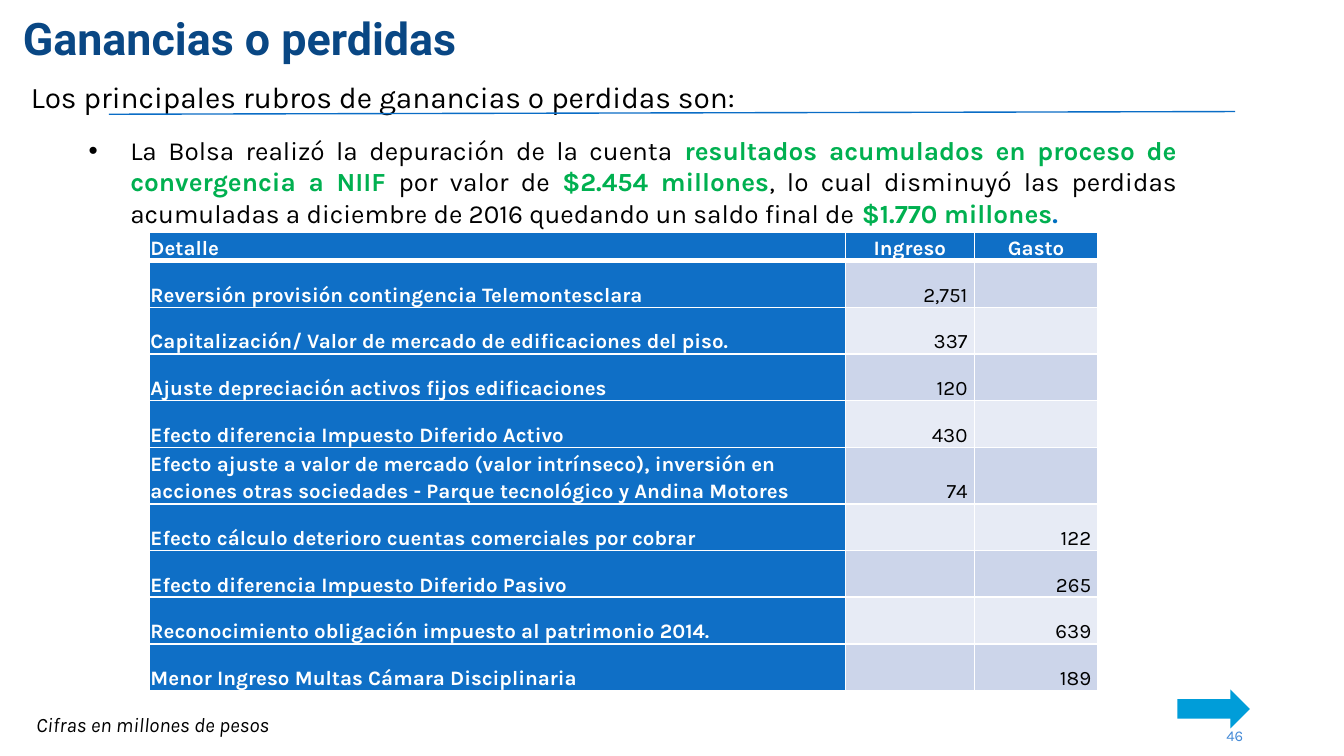
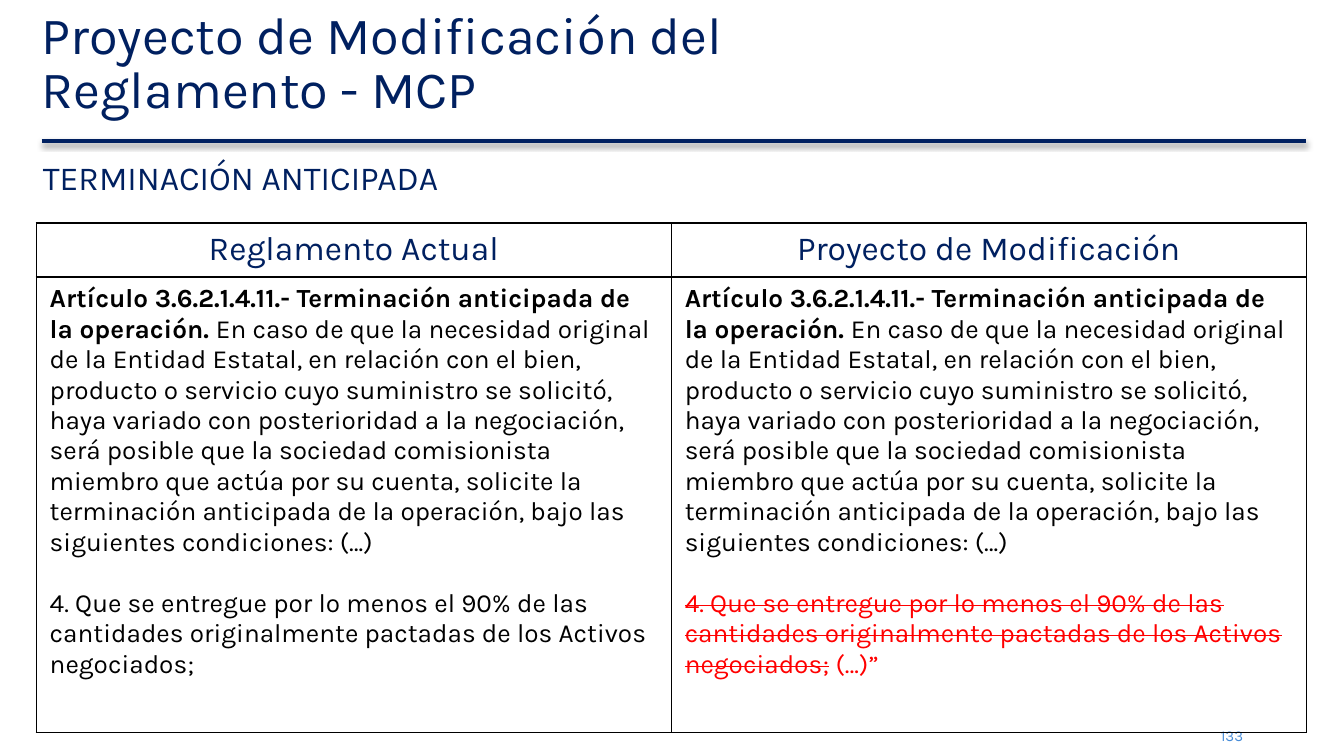
import dataclasses

import lxml.etree
import pptx
import pptx.dml.color
import pptx.enum.shapes
import pptx.enum.text
import pptx.oxml.ns
import pptx.util

Inches = pptx.util.Inches
Pt = pptx.util.Pt
Align = pptx.enum.text.PP_ALIGN
Anchor = pptx.enum.text.MSO_ANCHOR
qn = pptx.oxml.ns.qn


@dataclasses.dataclass(frozen=True)
class Theme:
    body: str = "Karla"
    head: str = "Roboto"
    black: str = "000000"
    white: str = "FFFFFF"
    title: str = "094784"
    navy: str = "002060"
    blue: str = "0F6FC6"
    rule: str = "0A6DC6"
    stop: str = "0070C0"
    green: str = "00B050"
    red: str = "FF0000"
    arrow: str = "009DD9"
    number: str = "448AD7"
    bands: tuple = ("CCD5EA", "E7EBF5")
    tiny: int = 8
    small: int = 11
    text: int = 14
    lead: int = 16
    label: int = 18
    large: int = 24
    huge: int = 28


T = Theme()


def rgb(color):
    return pptx.dml.color.RGBColor.from_string(color)


def bullet(par, indent):
    props = par._p.get_or_add_pPr()
    props.set("marL", str(Inches(indent)))
    props.set("indent", str(-Inches(indent)))
    lxml.etree.SubElement(props, qn("a:buFont"), typeface="Arial")
    lxml.etree.SubElement(props, qn("a:buChar"), char="•")


def write(par, parts, size, color=T.black, bold=False, italic=False,
          face=T.body, align=Align.LEFT, lines=None, indent=None):
    """Fill a paragraph with a string or with (text, changes) runs."""
    if indent:
        bullet(par, indent)
    par.alignment = align
    if lines:
        par.line_spacing = lines
    font = par.font
    font.name, font.size = face, Pt(size)
    font.bold, font.italic = bold, italic
    font.color.rgb = rgb(color)
    if isinstance(parts, str):
        par.text = parts
        return
    for text, change in parts:
        run = par.add_run()
        run.text = text
        if "bold" in change:
            run.font.bold = change["bold"]
        if "color" in change:
            run.font.color.rgb = rgb(change["color"])
        if change.get("strike"):
            run._r.get_or_add_rPr().set("strike", "sngStrike")


def inset(frame, across=0, down=0):
    frame.margin_left = frame.margin_right = Inches(across)
    frame.margin_top = frame.margin_bottom = Inches(down)


def label(slide, box, parts, size, pad=(0, 0), wrap=True,
          anchor=Anchor.TOP, **style):
    frame = slide.shapes.add_textbox(*map(Inches, box)).text_frame
    frame.word_wrap = wrap
    frame.vertical_anchor = anchor
    inset(frame, *pad)
    write(frame.paragraphs[0], parts, size, **style)


def page(deck, number, title, box, size, **style):
    """Add a slide with its title and page number."""
    slide = deck.slides.add_slide(deck.slide_layouts[5])
    shape = slide.shapes.title
    shape.left, shape.top, shape.width, shape.height = map(Inches, box)
    frame = shape.text_frame
    frame.word_wrap = True
    frame.auto_size = pptx.enum.text.MSO_AUTO_SIZE.NONE
    frame.vertical_anchor = Anchor.TOP
    inset(frame)
    write(frame.paragraphs[0], title, size, lines=0.85, **style)
    label(slide, (8.93, 5.41, 0.32, 0.13), number, T.tiny, color=T.number,
          align=Align.RIGHT, anchor=Anchor.BOTTOM)
    return slide


def rule(slide, start, end, color, width, shade=False):
    line = slide.shapes.add_connector(
        pptx.enum.shapes.MSO_CONNECTOR.STRAIGHT,
        *map(Inches, start + end))
    line.line.color.rgb = rgb(color)
    line.line.width = Pt(width)
    effects = lxml.etree.SubElement(line._element.spPr, qn("a:effectLst"))
    if shade:
        cast = lxml.etree.SubElement(
            effects, qn("a:outerShdw"), blurRad=str(Pt(3.1)),
            dist=str(Pt(1.6)), dir="5400000", rotWithShape="0")
        tint = lxml.etree.SubElement(cast, qn("a:srgbClr"), val=T.black)
        lxml.etree.SubElement(tint, qn("a:alpha"), val="38000")


def border(cell, color, **widths):
    """Line all four sides; widths names the sides that are not 1 pt."""
    props = cell._tc.get_or_add_tcPr()
    for side in "LRTB":
        line = lxml.etree.SubElement(props, qn("a:ln" + side),
                                     w=str(Pt(widths.get(side, 1))))
        fill = lxml.etree.SubElement(line, qn("a:solidFill"))
        lxml.etree.SubElement(fill, qn("a:srgbClr"), val=color)


def paint(part, color):
    part.fill.solid()
    part.fill.fore_color.rgb = rgb(color)


def grid(slide, left, top, cols, rows):
    table = slide.shapes.add_table(
        len(rows), len(cols), Inches(left), Inches(top),
        Inches(sum(cols)), Inches(sum(rows))).table
    table.first_row = table.horz_banding = False
    for col, width in zip(table.columns, cols):
        col.width = Inches(width)
    for row, height in zip(table.rows, rows):
        row.height = Inches(height)
    return table


HEADS = ("Detalle", "Ingreso", "Gasto")
ITEMS = (
    ("Reversión provisión contingencia Telemontesclara", "2,751", ""),
    ("Capitalización/ Valor de mercado de edificaciones del piso.", "337", ""),
    ("Ajuste depreciación activos fijos edificaciones", "120", ""),
    ("Efecto diferencia Impuesto Diferido Activo", "430", ""),
    ("Efecto ajuste a valor de mercado (valor intrínseco), inversión en "
     "acciones otras sociedades - Parque tecnológico y Andina Motores",
     "74", ""),
    ("Efecto cálculo deterioro cuentas comerciales por cobrar", "", "122"),
    ("Efecto diferencia Impuesto Diferido Pasivo", "", "265"),
    ("Reconocimiento obligación impuesto al patrimonio 2014.", "", "639"),
    ("Menor Ingreso Multas Cámara Disciplinaria", "", "189"),
)


def ledger(slide, left, top):
    """Table of income and expense items."""
    table = grid(slide, left, top, (5.18, 0.96, 0.92),
                 [0.17] + [25 / 72] * len(ITEMS))
    for r, row in enumerate((HEADS,) + ITEMS):
        for c, text in enumerate(row):
            cell = table.cell(r, c)
            inset(cell, 0.01)
            cell.vertical_anchor = Anchor.BOTTOM
            border(cell, T.white, **({"B": 3} if r == 0 else
                                     {"T": 3} if r == 1 else {}))
            strong = r == 0 or c == 0
            paint(cell, T.blue if strong else T.bands[(r - 1) % 2])
            align = Align.LEFT
            if c:
                align = Align.CENTER if r == 0 else Align.RIGHT
            if not strong:
                cell.margin_right = Inches(0.05)
            write(cell.text_frame.paragraphs[0], text, T.small, bold=strong,
                  color=T.white if strong else T.black, align=align,
                  lines=1.15)


def results(deck):
    slide = page(deck, "46", "Ganancias o perdidas", (0.17, 0.14, 6.32, 0.34),
                 T.large, color=T.title, bold=True, face=T.head)
    label(slide, (0.17, 5.25, 2.41, 0.19), "Cifras en millones de pesos",
          T.small, pad=(0.1, 0.05), italic=True)
    key = {"color": T.green, "bold": True}
    label(slide, (0.66, 1, 8.1, 0.94), (
        ("La Bolsa realizó la depuración de la cuenta ", {}),
        ("resultados acumulados en proceso de convergencia a NIIF ", key),
        ("por valor de ", {}),
        ("$2.454 millones", key),
        (", lo cual disminuyó las perdidas acumuladas a diciembre de 2016 "
         "quedando un saldo final de ", {}),
        ("$1.770 millones", key),
        (".", {"color": T.stop, "bold": True}),
    ), T.text, align=Align.JUSTIFY, indent=0.31)
    arrow = slide.shapes.add_shape(
        pptx.enum.shapes.MSO_SHAPE.RIGHT_ARROW,
        *map(Inches, (8.76, 5.13, 0.54, 0.29)))
    arrow.shadow.inherit = False
    paint(arrow, T.arrow)
    arrow.line.fill.background()
    label(slide, (0.23, 0.53, 5.7, 0.29),
          "Los principales rubros de ganancias o perdidas son:", T.lead,
          lines=1.2)
    rule(slide, (0.81, 0.85), (9.19, 0.83), T.rule, 0.75)
    ledger(slide, 1.11, 1.73)


ARTICLE = (
    ("Artículo 3.6.2.1.4.11.- Terminación anticipada de la operación. ",
     {"bold": True}),
    ("En caso de que la necesidad original de la Entidad Estatal, en relación "
     "con el bien, producto o servicio cuyo suministro se solicitó, haya "
     "variado con posterioridad a la negociación, será posible que la "
     "sociedad comisionista miembro que actúa por su cuenta, solicite la "
     "terminación anticipada de la operación, bajo las siguientes "
     "condiciones: (…)", {}),
)
CLAUSE = ("4. Que se entregue por lo menos el 90% de las cantidades "
          "originalmente pactadas de los Activos negociados;")
SIDES = (
    ("Reglamento Actual", ((CLAUSE, {}),), T.black),
    ("Proyecto de Modificación",
     ((CLAUSE, {"strike": True}), (" (…)”", {})), T.red),
)


def compare(slide, left, top):
    """Table of the current rule beside the proposed one."""
    table = grid(slide, left, top, [9.45 / 2] * 2, (0.4, 3.39))
    for c, (head, clause, color) in enumerate(SIDES):
        for r in range(2):
            border(table.cell(r, c), T.black)
            table.cell(r, c).fill.background()
        write(table.cell(0, c).text_frame.paragraphs[0], head, T.label,
              color=T.navy, align=Align.CENTER)
        frame = table.cell(1, c).text_frame
        write(frame.paragraphs[0], ARTICLE, T.text)
        par = frame.add_paragraph()
        par.space_before = Pt(16.4)
        write(par, clause, T.text, color=color)


def reform(deck):
    slide = page(deck, "133", "Proyecto de Modificación del\vReglamento - MCP",
                 (0.31, 0.09, 9.24, 1.27), T.huge, color=T.navy)
    compare(slide, 0.27, 1.66)
    label(slide, (0.22, 1.12, 3.52, 0.4), "TERMINACIÓN ANTICIPADA", T.label,
          pad=(0.1, 0.05), wrap=False, color=T.navy, align=Align.JUSTIFY)
    rule(slide, (0.31, 1.05), (9.72, 1.05), T.navy, 2, shade=True)


def main():
    deck = pptx.Presentation()
    deck.slide_width = Inches(10)
    deck.slide_height = Inches(10 * 9 / 16)
    results(deck)
    reform(deck)
    deck.save("out.pptx")


if __name__ == "__main__":
    main()
